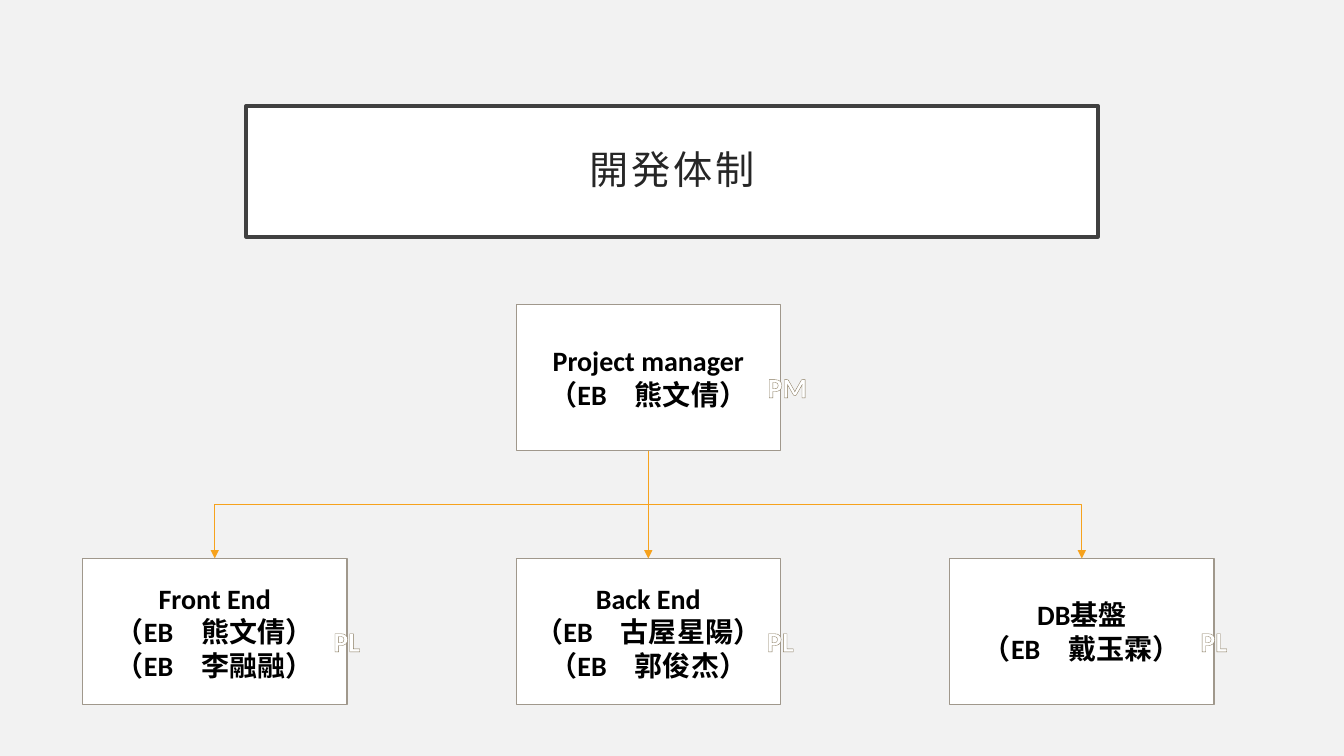
from dataclasses import dataclass

from lxml.etree import SubElement
from pptx import Presentation
from pptx.dml.color import RGBColor
from pptx.enum.shapes import MSO_CONNECTOR, MSO_SHAPE
from pptx.enum.text import MSO_ANCHOR, MSO_AUTO_SIZE, PP_ALIGN
from pptx.oxml import parse_xml
from pptx.oxml.ns import nsdecls, qn
from pptx.util import Inches, Pt

BACKGROUND = RGBColor(0xF2, 0xF2, 0xF2)
WHITE = RGBColor(0xFF, 0xFF, 0xFF)
BLACK = RGBColor(0, 0, 0)
TITLE_LINE = RGBColor(0x40, 0x40, 0x40)
TITLE_TEXT = RGBColor(0x26, 0x26, 0x26)
BOX_LINE = RGBColor(0xA0, 0x98, 0x8C)
ROLE_OUTLINE = RGBColor(0x87, 0x79, 0x5D)
ARROW = RGBColor(0xF6, 0xA2, 0x1D)

FONT = "Calibri"
BOX_W, BOX_H = 2.62, 1.45
LEFT, PITCH = 0.82, 4.3
MANAGER_TOP, TEAM_TOP = 3.02, 5.54


@dataclass
class Post:
    column: int
    top: float
    lines: list[str]
    role: str
    role_dx: float = 2.14

    @property
    def left(self) -> float:
        return LEFT + self.column * PITCH

    @property
    def center(self) -> float:
        return self.left + BOX_W / 2


MANAGER = Post(1, MANAGER_TOP, ["Project manager", "（EB\u3000熊文倩）"], "PM", 2.21)
TEAMS = [
    Post(0, TEAM_TOP, ["Front End", "（EB\u3000熊文倩）", "（EB\u3000李融融）"], "PL"),
    Post(1, TEAM_TOP, ["Back End", "（EB\u3000古屋星陽）", "（EB\u3000郭俊杰）"], "PL"),
    Post(2, TEAM_TOP, ["DB基盤", "（EB\u3000戴玉霖）"], "PL"),
]


def add_lines(tf, lines: list[str], size: float, color: RGBColor, bold: bool) -> list:
    runs = []
    for i, line in enumerate(lines):
        p = tf.add_paragraph() if i else tf.paragraphs[0]
        p.alignment = PP_ALIGN.CENTER
        r = p.add_run()
        r.text = line
        r.font.name = FONT
        r.font.size = Pt(size)
        r.font.bold = bold
        r.font.color.rgb = color
        runs.append(r)
    return runs


def style_box(sp, line: RGBColor, width: float) -> None:
    sp.fill.solid()
    sp.fill.fore_color.rgb = WHITE
    sp.line.color.rgb = line
    sp.line.width = Pt(width)
    sp.text_frame.word_wrap = True
    sp.text_frame.vertical_anchor = MSO_ANCHOR.MIDDLE


def add_title(s, text: str) -> None:
    sp = s.shapes.title
    sp.left, sp.top = Inches(2.44), Inches(1.05)
    sp.width, sp.height = Inches(8.45), Inches(1.3)
    style_box(sp, TITLE_LINE, 2.5)
    tf = sp.text_frame
    tf.auto_size = MSO_AUTO_SIZE.NONE
    tf.margin_left = tf.margin_right = tf.margin_top = tf.margin_bottom = Inches(0.2)
    r = add_lines(tf, [text], 28, TITLE_TEXT, False)[0]
    r.font._element.set("spc", "200")
    tf.paragraphs[0].line_spacing = 0.9


def add_box(s, post: Post) -> None:
    sp = s.shapes.add_shape(MSO_SHAPE.RECTANGLE, Inches(post.left), Inches(post.top),
                            Inches(BOX_W), Inches(BOX_H))
    sp.shadow.inherit = False
    style_box(sp, BOX_LINE, 1)
    add_lines(sp.text_frame, post.lines, 20, BLACK, True)


def add_role(s, post: Post) -> None:
    sp = s.shapes.add_textbox(Inches(post.left + post.role_dx), Inches(post.top + 0.6),
                              Inches(0.96), Inches(0.44))
    tf = sp.text_frame
    tf.word_wrap = True
    tf.auto_size = MSO_AUTO_SIZE.SHAPE_TO_FIT_TEXT
    r = add_lines(tf, [post.role], 20, WHITE, True)[0]
    r.font._element.insert(0, parse_xml(
        f'<a:ln {nsdecls("a")} w="{Pt(0.8)}"><a:solidFill>'
        f'<a:srgbClr val="{ROLE_OUTLINE}"/></a:solidFill></a:ln>'))


def add_arrow(s, manager: Post, team: Post) -> None:
    start = manager.top + BOX_H
    drop = team.top - start
    span = team.center - manager.center
    if team.column == manager.column:
        c = s.shapes.add_connector(MSO_CONNECTOR.STRAIGHT, Inches(manager.center),
                                   Inches(start), Inches(team.center), Inches(team.top))
    else:
        x = (manager.center + team.center - drop) / 2
        y = (start + team.top - abs(span)) / 2
        c = s.shapes.add_connector(MSO_CONNECTOR.ELBOW, Inches(x), Inches(y),
                                   Inches(x + drop), Inches(y + abs(span)))
        xfrm = c._element.spPr.find(qn("a:xfrm"))
        xfrm.set("rot", str((90 if span < 0 else 270) * 60000))
        if span > 0:
            xfrm.set("flipH", "1")
    c.line.color.rgb = ARROW
    c.line.width = Pt(0.5)
    SubElement(c.line._get_or_add_ln(), qn("a:tailEnd"), type="triangle")
    SubElement(c._element.spPr, qn("a:effectLst"))


prs = Presentation()
prs.slide_width, prs.slide_height = Inches(13.33), Inches(7.5)
s = prs.slides.add_slide(prs.slide_layouts[5])
s.background.fill.solid()
s.background.fill.fore_color.rgb = BACKGROUND

add_title(s, "開発体制")
posts = [MANAGER, *TEAMS]
for post in posts:
    add_box(s, post)
for post in posts:
    add_role(s, post)
for team in TEAMS:
    add_arrow(s, MANAGER, team)

prs.save("out.pptx")
